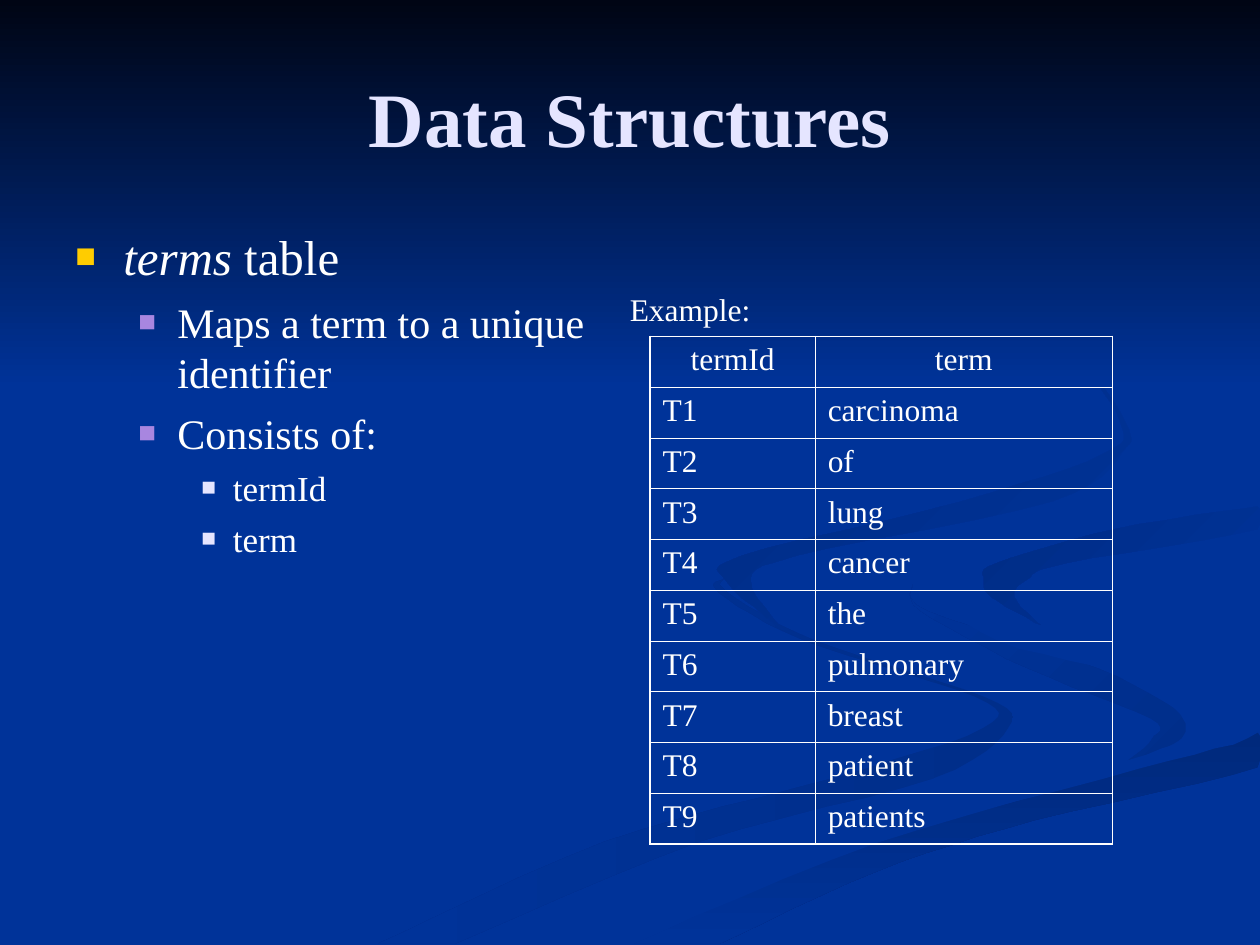
from lxml import etree
from pptx import Presentation
from pptx import util as u
from pptx.dml.color import RGBColor
from pptx.enum import shapes, text as t
from pptx.oxml.ns import qn

PX = 9144
WIDTH, HEIGHT = 1000, 750
FONT = "Times New Roman"
WHITE, LAVENDER, BLUE = "FFFFFF", "E5E5FF", "003399"
THIN, THICK = 0.45, 1.08
STEPS = 6

# Each ribbon is a list of level slices: (y, left x, right x).
LEFT_TAIL = [(459, 575, 575), (470, 570, 577), (509, 640, 648), (553, 774, 781),
             (578, 780, 800), (618, 660, 740), (668, 480, 555), (749, 300, 361)]
RIGHT_CURL = [(464, 724, 724), (485, 731, 736), (530, 815, 870), (570, 913, 943),
              (587, 914, 937), (605, 894, 895)]
LOWER_SWEEP = [(581, 998, 998), (609, 907, 998), (651, 753, 821), (692, 632, 695),
               (749, 503, 571)]
MAIN_RIBBON = [(387, 999, 999), (415, 830, 933), (446, 732, 795), (463, 725, 781),
               (509, 793, 866), (538, 898, 999), (581, 941, 999), (610, 872, 904),
               (669, 660, 696), (749, 477, 503)]
UPPER_EDGE = [(402, 998, 998), (420, 885, 998), (447, 791, 846), (460, 781, 815),
              (474, 787, 805), (496, 826, 826)]
UPPER_CURL = [(233, 762, 762), (280, 847, 850), (335, 889, 893), (360, 876, 890),
              (398, 763, 835), (441, 589, 632), (462, 577, 596), (500, 622, 622)]

RIBBONS = [
    (LEFT_TAIL, "002E8A", BLUE, 180),
    (RIGHT_CURL, "002E8A", BLUE, 225),
    (LOWER_SWEEP, "00297C", BLUE, 90),
    (MAIN_RIBBON, BLUE, BLUE, 0),
    (UPPER_EDGE, BLUE, "002C85", 225),
    (UPPER_CURL, BLUE, "002B81", 225),
]
LEVELS = [
    dict(size=28, margin=38, hang=38, before=7, bullet="FFCC00"),
    dict(size=24, margin=81, hang=31, before=6, bullet="A886E0"),
    dict(size=20, margin=125, hang=25, before=5, bullet=LAVENDER),
]
OUTLINE = [(1, "Maps a term to a unique identifier"), (1, "Consists of:"),
           (2, "termId"), (2, "term")]
TERMS = ["carcinoma", "of", "lung", "cancer", "the", "pulmonary", "breast",
         "patient", "patients"]


def px(value):
    """Turn px into EMU."""
    return u.Emu(round(value * PX))


def rgb(value):
    """Turn a hex string into a colour."""
    return RGBColor.from_string(value)


def add_element(parent, tag, **attributes):
    """Append a drawing element with attributes."""
    return etree.SubElement(parent, qn(tag), attributes)


def blend(before, start, end, after, s):
    """Return the Catmull-Rom value at fraction s between start and end."""
    return start + s / 2 * (end - before + s * (
        2 * before - 5 * start + 4 * end - after + s * (3 * (start - end) + after - before)))


def smooth_slices(slices):
    """Add evenly spaced slices along a smooth curve through the given ones."""
    padded = [slices[0], *slices, slices[-1]]
    curve = [tuple(blend(*values, step / STEPS) for values in zip(*padded[i:i + 4]))
             for i in range(len(slices) - 1) for step in range(STEPS)]
    return curve + [slices[-1]]


def fill_gradient(shape, start, end, angle):
    """Fill a plain shape with a clockwise-angled gradient, or one flat colour."""
    shape.shadow.inherit = False
    shape.line.fill.background()
    if start == end:
        shape.fill.solid()
        shape.fill.fore_color.rgb = rgb(start)
        return
    shape.fill.gradient()
    shape.fill.gradient_angle = (360 - angle) % 360
    for stop, color in zip(shape.fill.gradient_stops, (start, end)):
        stop.color.rgb = rgb(color)


def add_ribbon(slide, slices, start, end, angle):
    """Draw a ribbon: down its right edge, then back up its left edge."""
    curve = smooth_slices(slices)
    down = [(min(right, WIDTH), y) for y, left, right in curve]
    up = [(min(left, WIDTH), y) for y, left, right in reversed(curve)]
    builder = slide.shapes.build_freeform(*down[0], scale=PX)
    builder.add_line_segments(down[1:] + up, close=True)
    fill_gradient(builder.convert_to_shape(), start, end, angle)


def add_backdrop(slide):
    """Paint the blue ground, the ribbons and the dark band at the top."""
    slide.background.fill.solid()
    slide.background.fill.fore_color.rgb = rgb(BLUE)
    for ribbon in RIBBONS:
        add_ribbon(slide, *ribbon)
    band = slide.shapes.add_shape(shapes.MSO_SHAPE.RECTANGLE, 0, 0, px(WIDTH), px(308))
    fill_gradient(band, "000514", BLUE, 90)


def add_text(paragraph, content, size=18, color=WHITE, bold=False, italic=False, align=None):
    """Append one formatted run to a paragraph."""
    paragraph.alignment = align
    run = paragraph.add_run()
    run.text = content
    run.font.name, run.font.size = FONT, u.Pt(size)
    run.font.bold, run.font.italic = bold, italic
    run.font.color.rgb = rgb(color)


def add_box(slide, left, top, width, height, anchor=t.MSO_ANCHOR.TOP):
    """Add a wrapping text box and return its text frame."""
    frame = slide.shapes.add_textbox(px(left), px(top), px(width), px(height)).text_frame
    frame.word_wrap = True
    frame.vertical_anchor = anchor
    return frame


def format_bullet(paragraph, level, first=False):
    """Give a paragraph the indent, spacing and square of its level."""
    style = LEVELS[level]
    paragraph.level = level
    paragraph.space_before = u.Pt(0 if first else style["before"])
    properties = paragraph._p.get_or_add_pPr()
    properties.set("marL", str(px(style["margin"])))
    properties.set("indent", str(-px(style["hang"])))
    color = add_element(properties, "a:buClr")
    add_element(color, "a:srgbClr", val=style["bullet"])
    add_element(properties, "a:buSzPct", val="70000")
    add_element(properties, "a:buFont", typeface=FONT)
    add_element(properties, "a:buChar", char="■")


def add_outline(slide):
    """Add the bulleted description of the terms table."""
    frame = add_box(slide, 50, 175, 442, 495)
    heading = frame.paragraphs[0]
    format_bullet(heading, 0, first=True)
    add_text(heading, "terms", size=LEVELS[0]["size"], italic=True)
    add_text(heading, " table", size=LEVELS[0]["size"])
    for level, content in OUTLINE:
        paragraph = frame.add_paragraph()
        format_bullet(paragraph, level)
        add_text(paragraph, content, size=LEVELS[level]["size"])


def set_borders(cell, widths):
    """Draw the left, right, top and bottom borders of a cell."""
    properties = cell._tc.get_or_add_tcPr()
    for index, (side, width) in enumerate(zip("LRTB", widths)):
        line = etree.Element(qn(f"a:ln{side}"), w=str(u.Pt(width)))
        fill = add_element(line, "a:solidFill")
        add_element(fill, "a:srgbClr", val=WHITE)
        properties.insert(index, line)


def add_terms_table(slide):
    """Add the table that maps identifiers to terms."""
    rows = [("termId", "term")] + [(f"T{n}", term) for n, term in enumerate(TERMS, 1)]
    last = len(rows) - 1
    table = slide.shapes.add_table(len(rows), 2, px(516), px(267), px(367), px(403)).table
    table.first_row = table.horz_banding = False
    for column, width in zip(table.columns, (131, 236)):
        column.width = px(width)
    for r, row in enumerate(rows):
        for c, content in enumerate(row):
            cell = table.cell(r, c)
            cell.fill.background()
            edges = (c == 0, c == 1, r == 0, r == last)
            set_borders(cell, [THICK if edge else THIN for edge in edges])
            align = t.PP_ALIGN.CENTER if r == 0 else t.PP_ALIGN.LEFT
            add_text(cell.text_frame.paragraphs[0], content, align=align)


def main():
    """Build the slide and save it."""
    presentation = Presentation()
    presentation.slide_width, presentation.slide_height = px(WIDTH), px(HEIGHT)
    slide = presentation.slides.add_slide(presentation.slide_layouts[6])
    add_backdrop(slide)
    title = add_box(slide, 50, 30, 900, 125, anchor=t.MSO_ANCHOR.MIDDLE)
    add_text(title.paragraphs[0], "Data Structures", size=44, color=LAVENDER, bold=True,
             align=t.PP_ALIGN.CENTER)
    add_outline(slide)
    add_terms_table(slide)
    add_text(add_box(slide, 490, 225, 131, 40).paragraphs[0], "Example:")
    presentation.save("out.pptx")


if __name__ == "__main__":
    main()
